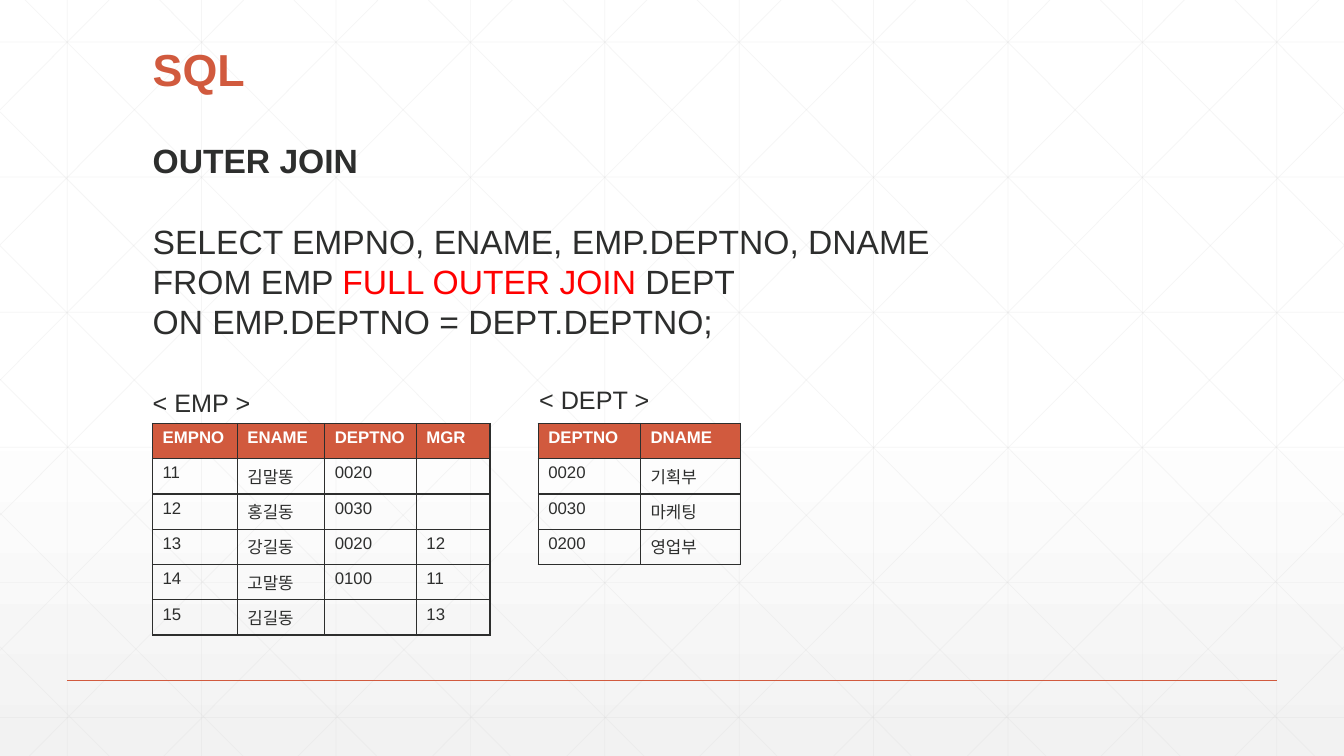
"""Build a slide on the SQL full outer join with its two sample tables."""
from dataclasses import dataclass

from lxml.etree import SubElement as Sub
from pptx import Presentation
from pptx.dml.color import RGBColor as Rgb
from pptx.enum.shapes import MSO_CONNECTOR as Link
from pptx.enum.text import MSO_ANCHOR as Anchor
from pptx.oxml.ns import qn
from pptx.util import Pt


@dataclass(frozen=True)
class Theme:
    font: str = "Arial"
    ink: str = "2D2E2D"
    accent: str = "D15A3E"
    alert: str = "FF0000"
    white: str = "FFFFFF"
    fade: str = "F2F2F2"
    grid: str = "D9D9D9"
    title: float = 32
    body: float = 24
    label: float = 18
    cell: float = 12
    leading: float = 1.2


@dataclass(frozen=True)
class Span:
    text: str
    color: str
    bold: bool = False


@dataclass(frozen=True)
class Para:
    spans: list[Span]
    gap: float = 0


@dataclass(frozen=True)
class Block:
    left: float
    top: float
    width: float
    height: float
    size: float
    paras: list[Para]
    anchor: Anchor = Anchor.TOP


@dataclass(frozen=True)
class Sheet:
    left: float
    widths: list[float]
    rows: list[list[str]]


WIDTH, HEIGHT = 960, 540
STEP = 96
SHEET_TOP, ROW = 302.4, 25.2
look = Theme()


def style(run, size: float, color: str, bold: bool) -> None:
    font = run.font
    font.name, font.size, font.bold = look.font, Pt(size), bold
    font.color.rgb = Rgb.from_string(color)


def rule(slide, x1: float, y1: float, x2: float, y2: float,
         color: str, weight: float, alpha: int = 100) -> None:
    line = slide.shapes.add_connector(
        Link.STRAIGHT, Pt(x1), Pt(y1), Pt(x2), Pt(y2))
    line.line.color.rgb = Rgb.from_string(color)
    line.line.width = Pt(weight)
    props = line.element.spPr
    Sub(props, qn("a:effectLst"))
    if alpha < 100:
        tone = next(props.iter(qn("a:srgbClr")))
        Sub(tone, qn("a:alpha"), val=str(alpha * 1000))


def draw_grid(slide) -> None:
    lines = [(48 + STEP * i, 0, 48 + STEP * i, HEIGHT) for i in range(10)]
    lines += [(0, 30 + 96.5 * i, WIDTH, 30 + 96.5 * i) for i in range(6)]
    slants = []
    for i in range(10):
        start = 18 + STEP * i
        run = min(537, WIDTH - start)
        slants.append((start, 0, start + run, run * HEIGHT / 537))
    for i in range(5):
        start = 80 + 95.5 * i
        slants.append((0, start, HEIGHT - start, HEIGHT))
    lines += slants
    lines += [(WIDTH - x1, y1, WIDTH - x2, y2) for x1, y1, x2, y2 in slants]
    for ends in lines:
        rule(slide, *ends, look.grid, 0.5, 25)


def draw_block(slide, block: Block) -> None:
    box = slide.shapes.add_textbox(
        Pt(block.left), Pt(block.top), Pt(block.width), Pt(block.height))
    frame = box.text_frame
    frame.word_wrap = True
    frame.vertical_anchor = block.anchor
    for i, para in enumerate(block.paras):
        line = frame.add_paragraph() if i else frame.paragraphs[0]
        line.line_spacing = Pt(block.size * look.leading)
        line.space_before = Pt(para.gap)
        for span in para.spans:
            run = line.add_run()
            run.text = span.text
            style(run, block.size, span.color, span.bold)


def fill_cell(cell, text: str, head: bool) -> None:
    props = cell._tc.get_or_add_tcPr()
    for side in ("lnL", "lnR", "lnT", "lnB"):
        edge = Sub(props, qn("a:" + side), w=str(Pt(1)))
        Sub(Sub(edge, qn("a:solidFill")), qn("a:srgbClr"), val=look.ink)
    if head:
        cell.fill.solid()
        cell.fill.fore_color.rgb = Rgb.from_string(look.accent)
    else:
        cell.fill.background()
    cell.text_frame.text = text
    para = cell.text_frame.paragraphs[0]
    for run in para.runs:
        style(run, look.cell, look.white if head else look.ink, head)
    Sub(para._p, qn("a:endParaRPr"), sz=str(int(look.cell * 100)))


def draw_sheet(slide, sheet: Sheet) -> None:
    count = len(sheet.rows)
    table = slide.shapes.add_table(
        count, len(sheet.widths), Pt(sheet.left), Pt(SHEET_TOP),
        Pt(sum(sheet.widths)), Pt(ROW * count)).table
    table.horz_banding = False
    for col, width in zip(table.columns, sheet.widths):
        col.width = Pt(width)
    for i, row in enumerate(sheet.rows):
        table.rows[i].height = Pt(ROW)
        for j, text in enumerate(row):
            fill_cell(table.cell(i, j), text, i == 0)


BLOCKS = [
    Block(102, 28, 756, 44, look.title,
          [Para([Span("SQL", look.accent, True)])], Anchor.BOTTOM),
    Block(102, 96.5, 833, 152.5, look.body, [
        Para([Span("OUTER JOIN", look.ink, True)]),
        Para([Span("SELECT EMPNO, ENAME, EMP.DEPTNO, DNAME", look.ink)],
             look.body * look.leading),
        Para([Span("FROM EMP ", look.ink),
              Span("FULL OUTER JOIN", look.alert),
              Span(" DEPT", look.ink)]),
        Para([Span("ON EMP.DEPTNO = DEPT.DEPTNO;", look.ink)]),
    ]),
    Block(102, 273, 85, 29, look.label, [Para([Span("< EMP >", look.ink)])]),
    Block(378, 271, 95, 29, look.label, [Para([Span("< DEPT >", look.ink)])]),
]

SHEETS = [
    Sheet(109, [60.5, 62.5, 65.5, 52.5], [
        ["EMPNO", "ENAME", "DEPTNO", "MGR"],
        ["11", "김말똥", "0020", ""],
        ["12", "홍길동", "0030", ""],
        ["13", "강길동", "0020", "12"],
        ["14", "고말똥", "0100", "11"],
        ["15", "김길동", "", "13"],
    ]),
    Sheet(384.5, [73, 71.5], [
        ["DEPTNO", "DNAME"],
        ["0020", "기획부"],
        ["0030", "마케팅"],
        ["0200", "영업부"],
    ]),
]

deck = Presentation()
deck.slide_width, deck.slide_height = Pt(WIDTH), Pt(HEIGHT)
page = deck.slides.add_slide(deck.slide_layouts[6])
back = page.background.fill
back.gradient()
back.gradient_angle = 270
for stop, color, place in zip(
        back.gradient_stops, (look.white, look.fade), (0.53, 1)):
    stop.color.rgb = Rgb.from_string(color)
    stop.position = place
draw_grid(page)
rule(page, 48, 486, 912, 486, look.accent, 1)
for block in BLOCKS:
    draw_block(page, block)
for sheet in SHEETS:
    draw_sheet(page, sheet)
deck.save("out.pptx")
